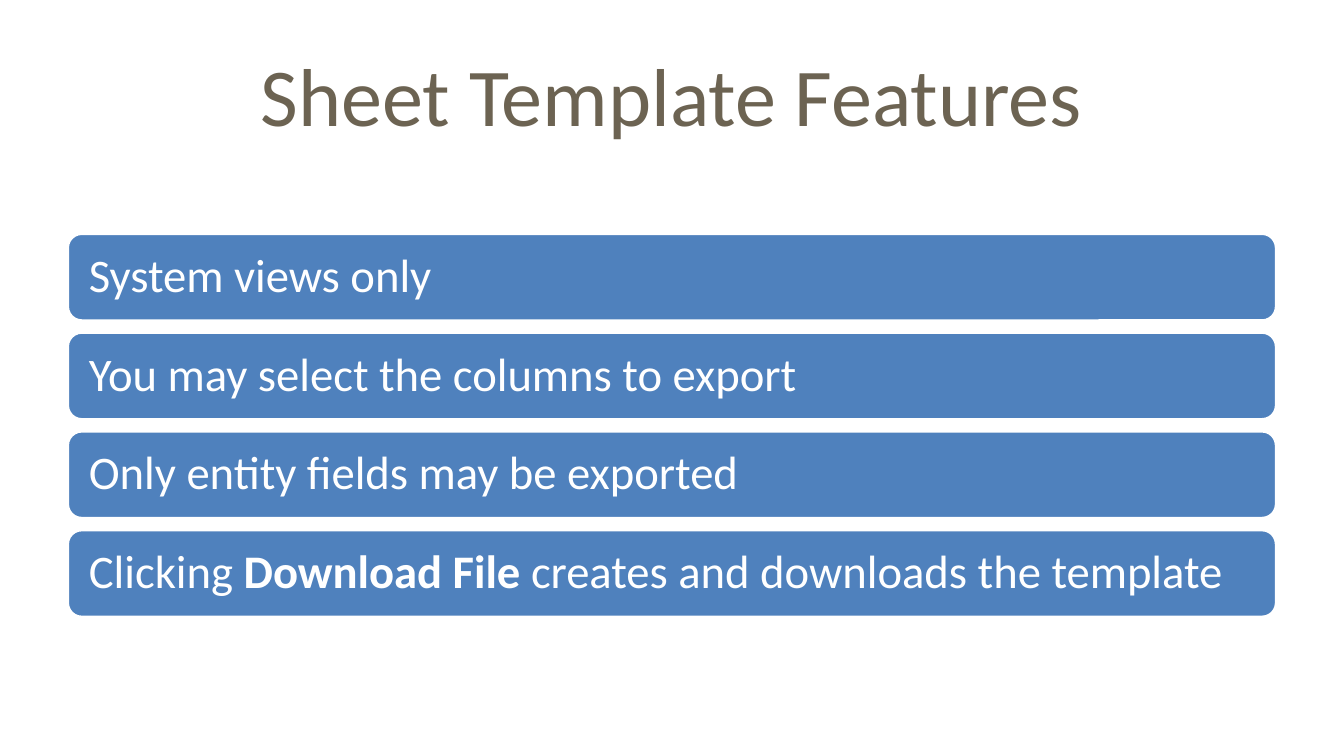
from dataclasses import dataclass
from typing import Any

import pptx
import pptx.dml.color
import pptx.enum.shapes
import pptx.enum.text
import pptx.util

PX = 4572  # EMU in one px, 200 px to the inch
FONT = "Calibri"
WHITE, BLUE, BROWN = "FFFFFF", "4F81BD", "6C6352"
LEFT, WIDTH = 100, 1800
TOP, HIGH, GAP = 347, 131, 16
ALIGN = pptx.enum.text.PP_ALIGN
MIDDLE = pptx.enum.text.MSO_ANCHOR.MIDDLE


@dataclass
class Run:
    text: str
    bold: bool = False


@dataclass
class Bar:
    runs: list[Run]


BARS = [
    Bar([Run("System views only")]),
    Bar([Run("You may select the columns to export")]),
    Bar([Run("Only entity fields may be exported")]),
    Bar([Run("Clicking "), Run("Download File", True),
         Run(" creates and downloads the template")]),
]


def px(num: int) -> int:
    return pptx.util.Emu(num * PX)


def paint(part: Any, code: str) -> None:
    part.rgb = pptx.dml.color.RGBColor.from_string(code)


def apply(item: Any, form: dict[str, Any]) -> None:
    for key, value in form.items():
        setattr(item, key, value)


def place(left: int, top: int, width: int, height: int) -> dict[str, Any]:
    return {"left": px(left), "top": px(top),
            "width": px(width), "height": px(height)}


def write(frame: Any, runs: list[Run], size: int, code: str,
          form: dict[str, Any]) -> None:
    para = frame.paragraphs[0]
    apply(para, form)
    for item in runs:
        run = para.add_run()
        run.text = item.text
        apply(run.font, {"name": FONT, "size": pptx.util.Pt(size),
                         "bold": item.bold})
        paint(run.font.color, code)


def draw_bar(slide: Any, bar: Bar, top: int) -> None:
    box = place(LEFT, top, WIDTH, HIGH)
    shape = slide.shapes.add_shape(
        pptx.enum.shapes.MSO_SHAPE.ROUNDED_RECTANGLE, **box)
    shape.shadow.inherit = False
    shape.fill.solid()
    paint(shape.fill.fore_color, BLUE)
    paint(shape.line.color, WHITE)
    shape.line.width = pptx.util.Pt(2)
    # The text keeps clear of the round corners
    apply(shape.text_frame, {
        "word_wrap": True, "vertical_anchor": MIDDLE,
        "margin_left": px(26), "margin_right": px(26),
        "margin_top": px(20), "margin_bottom": px(20)})
    write(shape.text_frame, bar.runs, 25, WHITE,
          {"alignment": ALIGN.LEFT, "line_spacing": 0.9})


def main() -> None:
    deck = pptx.Presentation()
    apply(deck, {"slide_width": px(2000), "slide_height": px(1125)})
    slide = deck.slides.add_slide(deck.slide_layouts.get_by_name("Title Only"))

    # Title
    title = slide.shapes.title
    apply(title, place(LEFT, 45, WIDTH, 188))
    title.text_frame.vertical_anchor = MIDDLE
    write(title.text_frame, [Run("Sheet Template Features")], 44, BROWN,
          {"alignment": ALIGN.CENTER})

    # Feature bars
    for row, bar in enumerate(BARS):
        draw_bar(slide, bar, TOP + row * (HIGH + GAP))

    deck.save("out.pptx")


if __name__ == "__main__":
    main()
